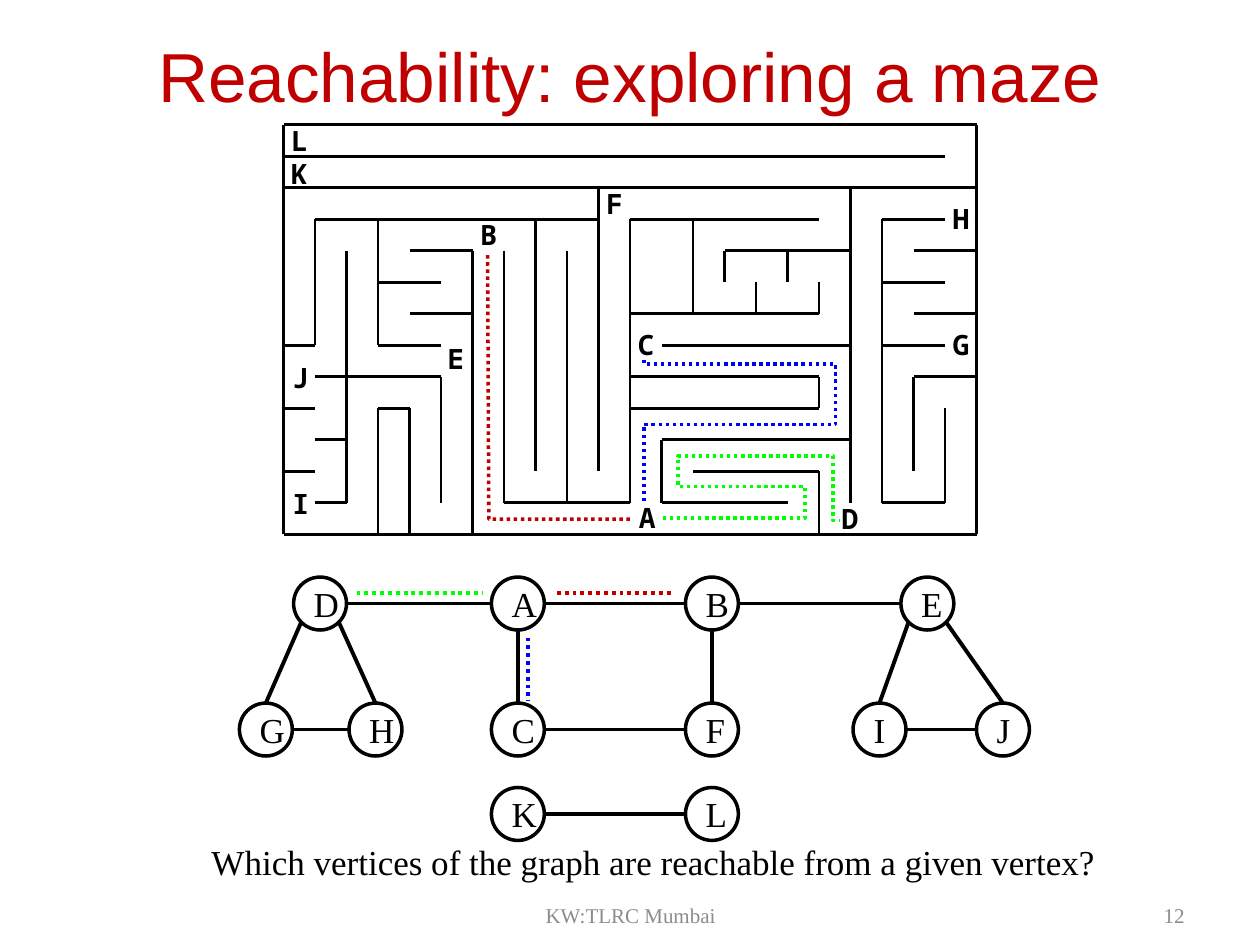
import lxml.etree
import pptx
import pptx.dml.color
import pptx.enum.dml
import pptx.enum.shapes
import pptx.enum.text
import pptx.oxml.ns
import pptx.util

Inches = pptx.util.Inches
RGBColor = pptx.dml.color.RGBColor
ALIGN = pptx.enum.text.PP_ALIGN
ANCHOR = pptx.enum.text.MSO_ANCHOR

BLACK = RGBColor(0x00, 0x00, 0x00)
WHITE = RGBColor(0xFF, 0xFF, 0xFF)
GREY = RGBColor(0x8C, 0x8C, 0x8C)
CRIMSON = RGBColor(0xC0, 0x00, 0x00)
GREEN = RGBColor(0x00, 0xFF, 0x00)
BLUE = RGBColor(0x00, 0x00, 0xFF)
SERIF = "Times New Roman"

CELL = 0.25
ROW_WALLS = {
    0: [(0, 22)], 1: [(0, 21)], 2: [(0, 22)],
    3: [(1, 10), (11, 17), (19, 21)],
    4: [(4, 6), (14, 18), (20, 22)],
    5: [(3, 5), (19, 21)],
    6: [(4, 6), (11, 17), (20, 22)],
    7: [(0, 1), (3, 5), (12, 18), (19, 21)],
    8: [(1, 5), (11, 17), (20, 22)],
    9: [(0, 1), (3, 4), (11, 17)],
    10: [(1, 2), (12, 18)],
    11: [(0, 1), (13, 17)],
    12: [(1, 2), (7, 11), (12, 16), (19, 21)],
    13: [(0, 22)],
}
COLUMN_WALLS = {
    0: [(0, 13)], 1: [(3, 7)], 2: [(4, 12)], 3: [(3, 7), (9, 13)],
    4: [(9, 13)], 5: [(8, 12)], 6: [(4, 13)], 7: [(4, 12)], 8: [(3, 11)],
    9: [(4, 12)], 10: [(2, 11)], 11: [(3, 12)], 12: [(10, 12)],
    13: [(3, 6)], 14: [(4, 5)], 15: [(5, 6)], 16: [(4, 5)],
    17: [(5, 6), (8, 9), (11, 13)], 18: [(2, 12)], 19: [(3, 12)],
    20: [(8, 11)], 21: [(9, 12)], 22: [(0, 13)],
}
ROOMS = {
    "L": (0.06, -0.01), "K": (0.06, 0.25), "B": (1.56, 0.74),
    "F": (2.56, 0.49), "H": (5.31, 0.61), "G": (5.31, 1.61),
    "E": (1.3, 1.72), "C": (2.81, 1.61), "J": (0.07, 1.87),
    "I": (0.07, 2.87), "D": (4.43, 2.99), "A": (2.82, 2.98),
}
MAZE_TRAILS = [
    (CRIMSON, [(2.75, 3.13), (1.63, 3.13), (1.62, 1.03)]),
    (GREEN, [(3.01, 3.12), (4.14, 3.12), (4.14, 2.87), (3.13, 2.87),
             (3.13, 2.63), (4.36, 2.63), (4.36, 3.14), (4.42, 3.14)]),
    (BLUE, [(2.86, 2.99), (2.86, 2.38), (4.38, 2.38), (4.38, 1.9),
            (2.86, 1.9), (2.86, 1.86)]),
]

NODE = 0.42
NODES = {
    "D": (0.43, 0), "G": (0, 1), "H": (0.87, 1), "A": (2, 0), "C": (2, 1),
    "B": (3.54, 0), "F": (3.54, 1), "E": (5.25, 0), "I": (4.87, 1),
    "J": (5.85, 1), "K": (2, 1.67), "L": (3.54, 1.67),
}
EDGES = "DH DG GH DA AB BE AC BF CF EI IJ EJ KL".split()
GRAPH_TRAILS = [
    (CRIMSON, (2.52, 0.13), (3.43, 0.13)),
    (GREEN, (0.93, 0.13), (1.93, 0.13)),
    (BLUE, (2.29, 0.48), (2.29, 0.98)),
]


def style_text(tf, size, color, font, align, bold=False):
    """Format the single paragraph of a text frame."""
    p = tf.paragraphs[0]
    p.alignment = align
    r = p.runs[0]
    r.font.size, r.font.name, r.font.bold = pptx.util.Pt(size), font, bold
    r.font.color.rgb = color


def add_text(shapes, text, box, size, color=BLACK, font=SERIF,
             align=ALIGN.LEFT, anchor=ANCHOR.TOP, wrap=True, bold=False):
    """Add a text box at box (left, top, width, height) and return its frame."""
    tf = shapes.add_textbox(*map(Inches, box)).text_frame
    tf.text = text
    tf.word_wrap = wrap
    tf.vertical_anchor = anchor
    style_text(tf, size, color, font, align, bold)
    return tf


def style_line(line, color, width, dotted=False):
    """Set the colour, width and dash of a line."""
    line.color.rgb = color
    line.width = pptx.util.Pt(width)
    if dotted:
        line.dash_style = pptx.enum.dml.MSO_LINE.ROUND_DOT


def add_line(shapes, start, end, color, width, dotted=False):
    """Add a straight line without a shadow."""
    s = shapes.add_connector(pptx.enum.shapes.MSO_CONNECTOR.STRAIGHT,
                             *map(Inches, (*start, *end)))
    style_line(s.line, color, width, dotted)
    lxml.etree.SubElement(s._element.spPr, pptx.oxml.ns.qn("a:effectLst"))


def add_trail(shapes, points, color):
    """Add a dotted open path through the points."""
    start, *rest = [(Inches(x), Inches(y)) for x, y in points]
    builder = shapes.build_freeform(*start)
    builder.add_line_segments(rest, close=False)
    s = builder.convert_to_shape()
    s.shadow.inherit = False
    s.fill.background()
    style_line(s.line, color, 2, dotted=True)


def add_maze(shapes, left, top):
    """Draw walls, room letters and trails of the maze."""
    def at(col, row):
        """Return the position of a grid corner."""
        return left + col * CELL, top + row * CELL

    for row, spans in ROW_WALLS.items():
        for a, b in spans:
            add_line(shapes, at(a, row), at(b, row), BLACK, 1.5)
    for col, spans in COLUMN_WALLS.items():
        for a, b in spans:
            add_line(shapes, at(col, a), at(col, b), BLACK, 1.5)
    for letter, (x, y) in ROOMS.items():
        tf = add_text(shapes, letter, (left + x, top + y, 0.12, 0.27), 16,
                      font="Noto Sans Mono", wrap=False, bold=True)
        tf.margin_left = tf.margin_right = tf.margin_top = tf.margin_bottom = 0
    for color, points in MAZE_TRAILS:
        add_trail(shapes, [(left + x, top + y) for x, y in points], color)


def edge_ends(a, b):
    """Return where an edge leaves node a and meets node b."""
    (ax, ay), (bx, by) = NODES[a], NODES[b]
    half = NODE / 2
    if ay == by:
        return (ax + NODE, ay + half), (bx, by + half)
    if ax == bx:
        return (ax + half, ay + NODE), (bx + half, by)
    side = 0.15 if bx > ax else -0.15
    return (ax + half + side, ay + half + 0.15), (bx + half, by)


def add_graph(shapes, left, top):
    """Draw nodes, edges and trails of the graph."""
    for letter, (x, y) in NODES.items():
        s = shapes.add_shape(pptx.enum.shapes.MSO_SHAPE.OVAL,
                             *map(Inches, (left + x, top + y, NODE, NODE)))
        s.shadow.inherit = False
        s.fill.solid()
        s.fill.fore_color.rgb = WHITE
        style_line(s.line, BLACK, 2)
        s.text_frame.text = letter
        s.text_frame.vertical_anchor = ANCHOR.MIDDLE
        style_text(s.text_frame, 20, BLACK, SERIF, ALIGN.CENTER)
    lines = [(BLACK, *edge_ends(a, b), False) for a, b in EDGES]
    lines += [(*trail, True) for trail in GRAPH_TRAILS]
    for color, (ax, ay), (bx, by), dotted in lines:
        add_line(shapes, (left + ax, top + ay), (left + bx, top + by),
                 color, 2.25, dotted)


def add_footer(shapes, left, top):
    """Add the footer text and the slide number."""
    for text, x, width, align in (("KW:TLRC Mumbai", 0, 3.17, ALIGN.CENTER),
                                  ("12", 3.75, 2.33, ALIGN.RIGHT)):
        add_text(shapes, text, (left + x, top, width, 0.4), 12, GREY,
                 align=align, anchor=ANCHOR.MIDDLE)


def main():
    """Build the slide and save it."""
    prs = pptx.Presentation()
    prs.slide_width, prs.slide_height = Inches(10), Inches(7.5)
    shapes = prs.slides.add_slide(prs.slide_layouts[6]).shapes
    add_text(shapes, "Reachability: exploring a maze", (0.5, 0.3, 9, 0.59),
             39.6, CRIMSON, "Arial", ALIGN.CENTER, ANCHOR.MIDDLE)
    add_footer(shapes, 3.42, 7.06)
    add_graph(shapes.add_group_shape().shapes, 1.9, 4.58)
    add_text(shapes,
             "Which vertices of the graph are reachable from a given vertex?",
             (1.58, 6.62, 7.35, 0.44), 20, wrap=False)
    add_maze(shapes.add_group_shape().shapes, 2.25, 0.99)
    prs.save("out.pptx")


if __name__ == "__main__":
    main()
